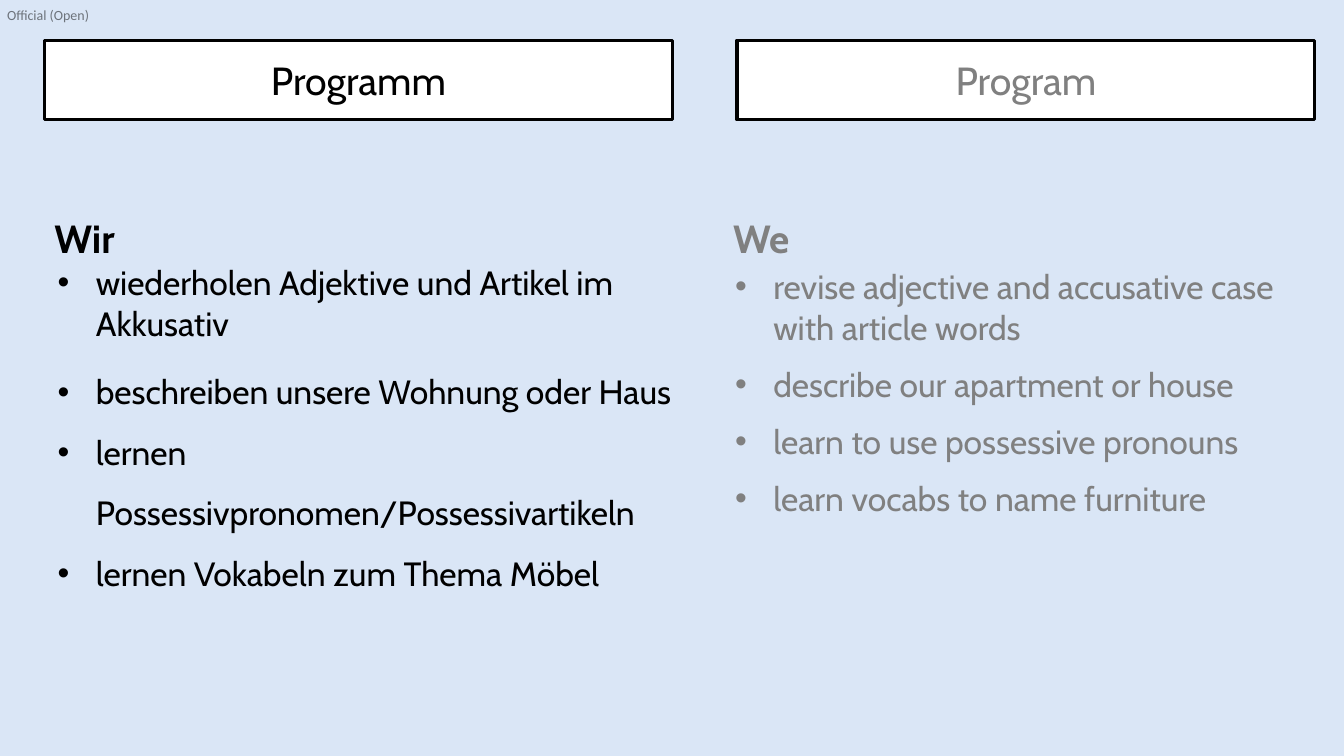
"""Build a bilingual lesson programme slide in German and English."""
from dataclasses import dataclass

from lxml import etree
from pptx import Presentation
from pptx import util as u
from pptx.dml.color import RGBColor
from pptx.enum import shapes, text
from pptx.oxml import ns


@dataclass(frozen=True)
class Theme:
    """Colours, fonts and type sizes of the slide."""
    background: str = "DAE6F6"
    panel: str = "FFFFFF"
    german: str = "000000"
    english: str = "808080"
    label: str = "6D737B"
    font: str = "Cabin"
    label_font: str = "Calibri"
    heading_size: int = 28
    list_size: int = 24
    label_size: int = 10
    border: float = 2.25
    indent: float = 0.38


class LessonSlide:
    """Draw elements on one slide, placed in percent of its size."""

    def __init__(self, presentation, theme):
        """Add a comparison slide with a plain background."""
        self.theme = theme
        self.width = presentation.slide_width
        self.height = presentation.slide_height
        self.slide = presentation.slides.add_slide(presentation.slide_layouts[4])
        fill = self.slide.background.fill
        fill.solid()
        fill.fore_color.rgb = RGBColor.from_string(theme.background)

    def area(self, left, top, width, height):
        """Turn percentages into slide lengths."""
        return (int(left * self.width / 100), int(top * self.height / 100),
                int(width * self.width / 100), int(height * self.height / 100))

    def placeholder(self, index, place):
        """Move a template placeholder."""
        shape = self.slide.placeholders[index]
        shape.left, shape.top, shape.width, shape.height = self.area(*place)
        return shape

    def format_frame(self, shape, anchor):
        """Give a text frame fixed size, wrapping and anchor."""
        frame = shape.text_frame
        frame.auto_size = text.MSO_AUTO_SIZE.NONE
        frame.word_wrap = True
        frame.vertical_anchor = anchor
        return frame

    def format_paragraph(self, paragraph, size, color, bold=False,
                         align=text.PP_ALIGN.LEFT, font=None):
        """Set alignment and type of a paragraph."""
        paragraph.alignment = align
        for run in paragraph.runs:
            run.font.name = font or self.theme.font
            run.font.size = u.Pt(size)
            run.font.bold = bold
            run.font.color.rgb = RGBColor.from_string(color)

    def panel(self, shape, words, color):
        """Fill a bordered panel with a centred title."""
        shape.shadow.inherit = False
        shape.fill.solid()
        shape.fill.fore_color.rgb = RGBColor.from_string(self.theme.panel)
        shape.line.color.rgb = RGBColor.from_string(self.theme.german)
        shape.line.width = u.Pt(self.theme.border)
        frame = self.format_frame(shape, text.MSO_ANCHOR.MIDDLE)
        frame.text = words
        self.format_paragraph(frame.paragraphs[0], self.theme.heading_size, color,
                              align=text.PP_ALIGN.CENTER)

    def title(self, words, place, color):
        """Place the slide title in a panel."""
        self.panel(self.placeholder(0, place), words, color)

    def translation(self, words, place, color):
        """Place the translated title in a matching panel."""
        shape = self.slide.shapes.add_shape(shapes.MSO_SHAPE.RECTANGLE, *self.area(*place))
        self.panel(shape, words, color)

    def heading(self, index, words, place, color):
        """Place a bold list heading."""
        frame = self.format_frame(self.placeholder(index, place), text.MSO_ANCHOR.TOP)
        frame.text = words
        frame.paragraphs[0].space_before = u.Pt(0)
        self.format_paragraph(frame.paragraphs[0], self.theme.heading_size, color, bold=True)

    def bullets(self, index, items, place, color, spacing):
        """Place a bulleted list; spacing gives line, before and after per item."""
        frame = self.format_frame(self.placeholder(index, place), text.MSO_ANCHOR.TOP)
        frame.text = "\n".join(items)
        for paragraph, (line, before, after) in zip(frame.paragraphs, spacing):
            properties = paragraph._p.get_or_add_pPr()
            indent = u.Inches(self.theme.indent)
            properties.set("marL", str(indent))
            properties.set("indent", str(-indent))
            etree.SubElement(properties, ns.qn("a:buFont")).set("typeface", "Arial")
            etree.SubElement(properties, ns.qn("a:buChar")).set("char", "•")
            paragraph.line_spacing = line
            paragraph.space_before = u.Pt(before)
            paragraph.space_after = u.Pt(after)
            self.format_paragraph(paragraph, self.theme.list_size, color)

    def label(self, words, place):
        """Place the small classification label."""
        box = self.slide.shapes.add_textbox(*self.area(*place))
        frame = box.text_frame
        frame.margin_left = frame.margin_right = frame.margin_top = frame.margin_bottom = 0
        frame.word_wrap = False
        frame.text = words
        self.format_paragraph(frame.paragraphs[0], self.theme.label_size, self.theme.label,
                              font=self.theme.label_font)


def main():
    """Build and save the presentation."""
    presentation = Presentation()
    presentation.slide_width = u.Inches(13.33)
    presentation.slide_height = u.Inches(7.5)
    theme = Theme()
    lesson = LessonSlide(presentation, theme)

    lesson.label("Official (Open)", (0.53, 0.93, 6.38, 2.27))
    lesson.title("Programm", (3.3, 5.33, 46.74, 10.53), theme.german)
    lesson.translation("Program", (54.84, 5.33, 42.99, 10.53), theme.english)

    lesson.heading(1, "Wir", (3.3, 27.73, 10.28, 7.6), theme.german)
    lesson.bullets(2, [
        "wiederholen Adjektive und Artikel im Akkusativ",
        "beschreiben unsere Wohnung oder Haus",
        "lernen Possessivpronomen/Possessivartikeln",
        "lernen Vokabeln zum Thema Möbel",
    ], (3.53, 34, 50.41, 43.07), theme.german, [(1.0, 0, 6)] + [(1.5, 0, 0)] * 3)

    lesson.heading(3, "We", (53.79, 27.73, 10.28, 7.6), theme.english)
    lesson.bullets(4, [
        "revise adjective and accusative case with article words",
        "describe our apartment or house",
        "learn to use possessive pronouns",
        "learn vocabs to name furniture",
    ], (53.94, 34.53, 43.96, 35.07), theme.english, [(1.0, 0, 6)] + [(1.0, 6, 6)] * 3)

    presentation.save("out.pptx")


if __name__ == "__main__":
    main()
